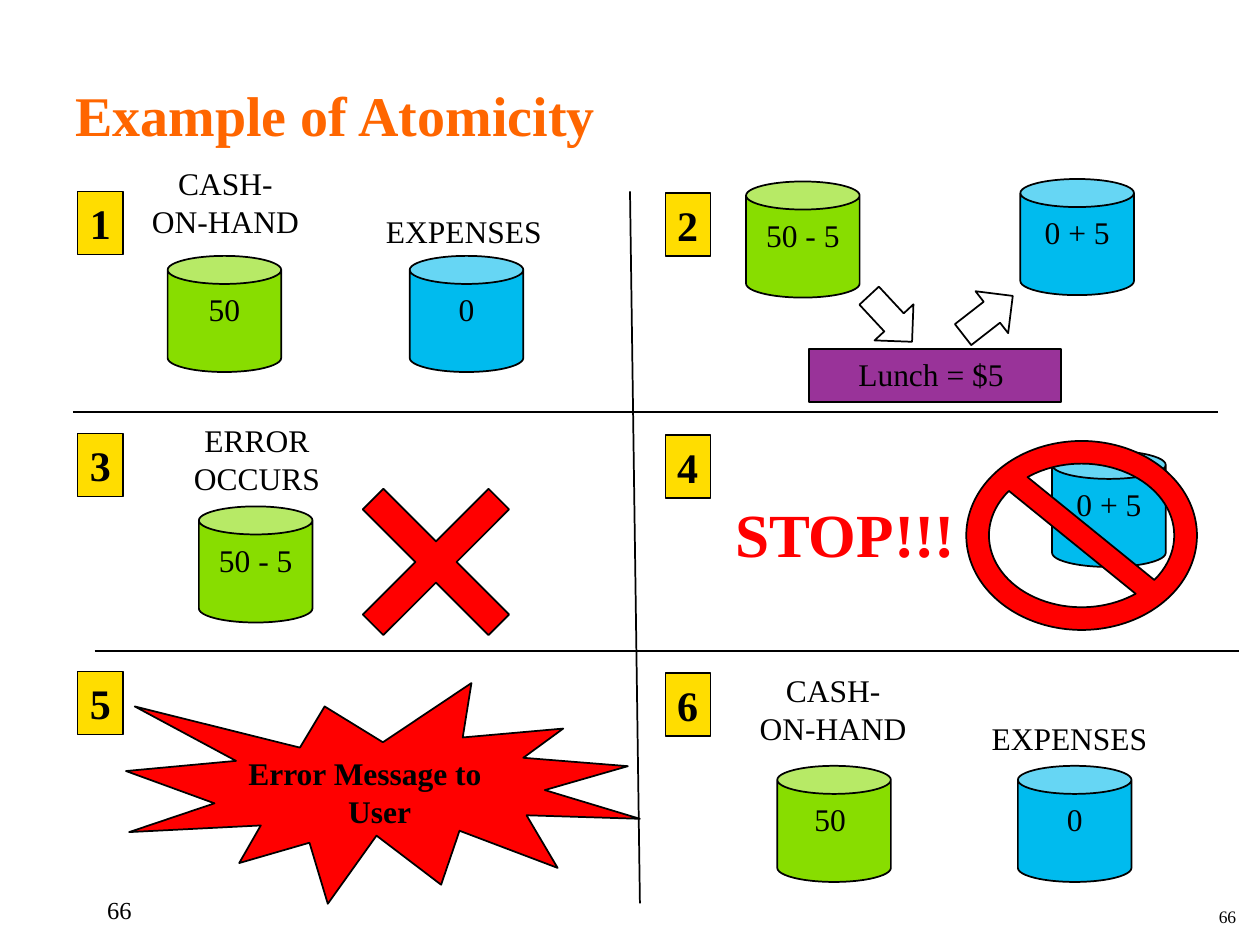
"""Build the six-step slide on atomicity."""
from dataclasses import dataclass
from typing import Optional

from lxml.etree import SubElement
from pptx import Presentation
from pptx.dml.color import RGBColor
from pptx.enum.shapes import MSO_CONNECTOR as Link, MSO_SHAPE as Kind
from pptx.enum.text import MSO_ANCHOR as Anchor, PP_ALIGN as Align
from pptx.oxml.ns import qn
from pptx.util import Cm, Pt

FONT = "Times New Roman"
BLACK = RGBColor(0, 0, 0)
ORANGE = RGBColor(0xFF, 0x66, 0x00)
GREEN = RGBColor(0x88, 0xDD, 0x00)
BLUE = RGBColor(0x00, 0xBB, 0xEE)
YELLOW = RGBColor(0xFF, 0xDD, 0x00)
PURPLE = RGBColor(0x99, 0x33, 0x99)
RED = RGBColor(0xFF, 0x00, 0x00)


@dataclass
class Label:
    text: str
    x: float
    y: float
    w: float = 5.28
    h: float = 1.02
    size: int = 18
    color: RGBColor = BLACK
    bold: bool = False
    align: Align = Align.CENTER
    anchor: Anchor = Anchor.TOP


@dataclass
class Form:
    kind: Kind
    x: float
    y: float
    w: float
    h: float
    fill: Optional[RGBColor] = None
    text: str = ""
    adj: Optional[float] = None
    turn: float = 0
    size: int = 18
    bold: bool = False
    line: float = 1
    indent: float = 0.97
    wrap: bool = True


@dataclass
class Rule:
    x1: float
    y1: float
    x2: float
    y2: float


def can(x: float, y: float, fill: RGBColor, text: str) -> Form:
    return Form(Kind.CAN, x, y, 2.29, 2.34, fill, text, adj=0.247)


def badge(step: int) -> Form:
    row, col = divmod(step, 2)
    x, y = (1.57, 13.41)[col], (3.86, 8.74, 13.54)[row] + 0.03 * col
    return Form(Kind.RECTANGLE, x, y, 0.91, 1.27, YELLOW, str(step + 1),
                size=24, bold=True, line=0.75, indent=0, wrap=False)


def arrow(x: float, y: float, turn: float) -> Form:
    return Form(Kind.DOWN_ARROW, x, y, 1.07, 1.27, turn=turn)


LABELS = [
    Label("Example of Atomicity", 1.27, 0.56, 22.66, 2.54, 32, ORANGE, True,
          Align.LEFT, Anchor.BOTTOM),
    Label("66", 1.91, 17.91, h=0.9, size=14, align=Align.LEFT),
    Label("66", 19.25, 18.14, 5.92, 0.76, 10, align=Align.RIGHT),
    Label("CASH-\nON-HAND", 2.79, 3.18, 3.51, 1.78),
    Label("EXPENSES", 6.71, 4.14),
    Label("ERROR OCCURS", 2.54, 8.36, h=1.78),
    Label("STOP!!!", 14.4, 9.88, h=1.75, size=35, color=RED, bold=True),
    Label("CASH-\nON-HAND", 15.04, 13.41, 3.51, 1.78),
    Label("EXPENSES", 18.92, 14.38),
]
RULES = [Rule(1.47, 8.31, 24.56, 8.31), Rule(12.7, 3.86, 12.9, 18.21),
         Rule(1.91, 13.13, 24.97, 13.13)]
FORMS = [
    *map(badge, range(6)),
    can(3.38, 5.16, GREEN, "50"),
    can(8.26, 5.16, BLUE, "0"),
    can(15.04, 3.66, GREEN, "50 - 5"),
    can(20.57, 3.61, BLUE, "0 + 5"),
    can(4.01, 10.21, GREEN, "50 - 5"),
    can(21.21, 9.09, BLUE, "0 + 5"),
    can(15.67, 15.44, GREEN, "50 "),
    can(20.52, 15.44, BLUE, "0"),
    Form(Kind.RECTANGLE, 16.31, 7.04, 5.08, 1.07, PURPLE, "Lunch = $5 "),
    arrow(17.42, 5.79, 317.1),
    arrow(19.38, 5.72, 232.1),
    Form(Kind.MATH_MULTIPLY, 6.35, 8.89, 4.88, 4.88, RED, adj=0.12),
    Form(Kind.EXPLOSION1, 2.54, 13.77, 10.36, 4.45, RED,
         "Error Message to\nUser", bold=True),
    Form(Kind.NO_SYMBOL, 19.48, 8.89, 4.65, 3.81, RED, adj=0.12),
]


def style(frame, size: int, color: RGBColor, bold: bool, align: Align) -> None:
    for par in frame.paragraphs:
        par.alignment = align
        for run in par.runs:
            font = run.font
            font.name, font.size, font.bold = FONT, Pt(size), bold
            font.color.rgb = color


def draw_label(slide, item: Label) -> None:
    box = slide.shapes.add_textbox(*map(Cm, (item.x, item.y, item.w, item.h)))
    frame = box.text_frame
    frame.word_wrap = True
    frame.vertical_anchor = item.anchor
    frame.text = item.text
    style(frame, item.size, item.color, item.bold, item.align)


def draw_form(slide, item: Form) -> None:
    shape = slide.shapes.add_shape(
        item.kind, *map(Cm, (item.x, item.y, item.w, item.h)))
    shape.shadow.inherit = False
    shape.rotation = item.turn
    if item.adj is not None:
        shape.adjustments[0] = item.adj
    if item.fill is None:
        shape.fill.background()
    else:
        shape.fill.solid()
        shape.fill.fore_color.rgb = item.fill
    shape.line.color.rgb = BLACK
    shape.line.width = Pt(item.line)
    if item.text:
        frame = shape.text_frame
        frame.word_wrap = item.wrap
        frame.vertical_anchor = Anchor.TOP
        frame.text = item.text
        style(frame, item.size, BLACK, item.bold, Align.CENTER)
        for par in frame.paragraphs:
            props = par._p.get_or_add_pPr()
            props.set("marL", str(Cm(item.indent)))
            props.set("indent", str(-Cm(item.indent)))
        if item.kind == Kind.EXPLOSION1:
            frame.paragraphs[0].alignment = Align.LEFT


def draw_rule(slide, item: Rule) -> None:
    line = slide.shapes.add_connector(
        Link.STRAIGHT, *map(Cm, (item.x1, item.y1, item.x2, item.y2)))
    line.line.color.rgb = BLACK
    line.line.width = Pt(1)
    SubElement(line._element.spPr, qn("a:effectLst"))


def main() -> None:
    deck = Presentation()
    deck.slide_width, deck.slide_height = Cm(25.4), Cm(19.05)
    slide = deck.slides.add_slide(deck.slide_layouts[6])
    for label in LABELS:
        draw_label(slide, label)
    for rule in RULES:
        draw_rule(slide, rule)
    for form in FORMS:
        draw_form(slide, form)
    deck.save("out.pptx")


if __name__ == "__main__":
    main()
